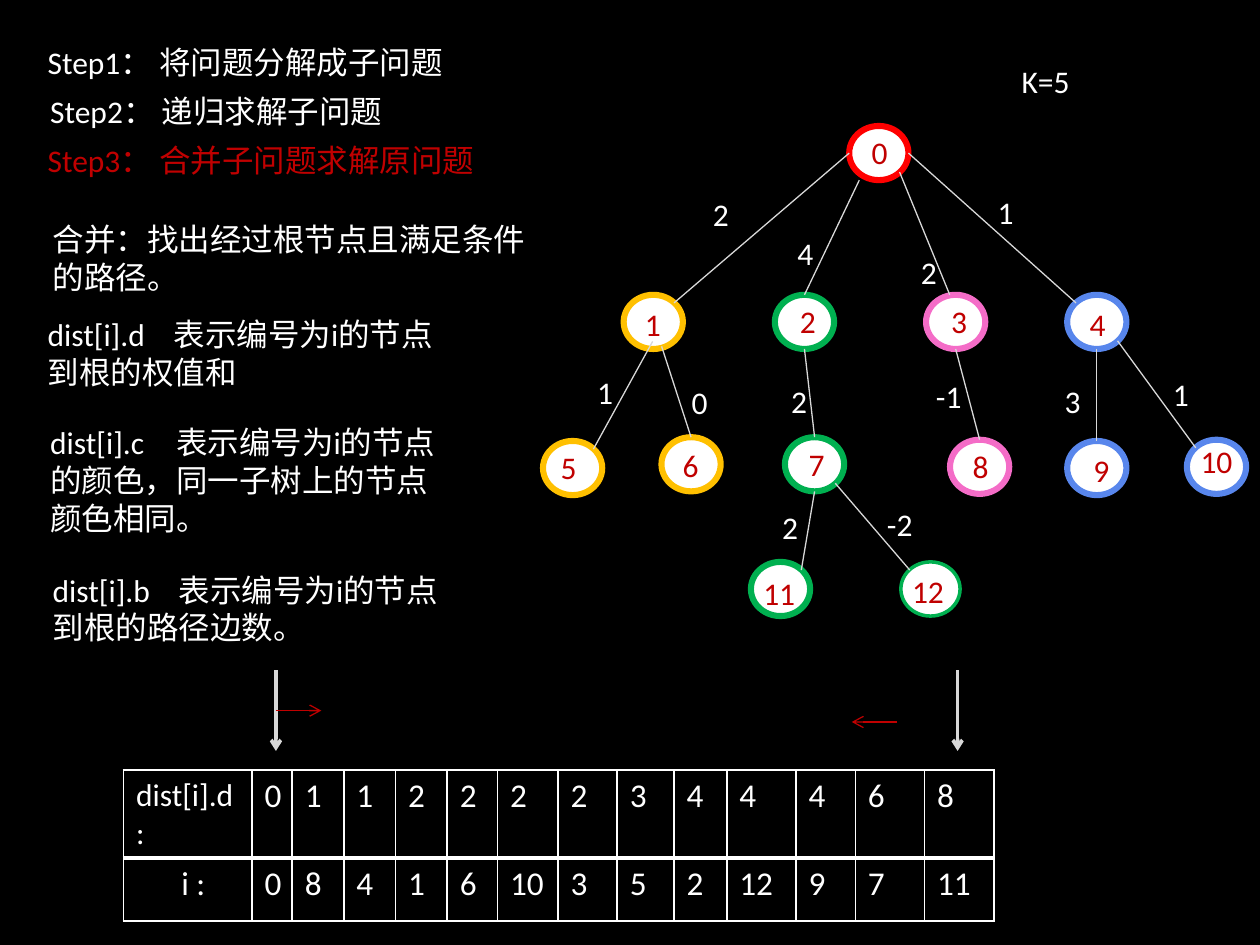
from lxml.etree import SubElement
from pptx import Presentation
from pptx.dml.color import RGBColor
from pptx.enum.shapes import MSO_CONNECTOR as CONNECTOR, MSO_SHAPE as SHAPE
from pptx.enum.text import MSO_AUTO_SIZE as AUTO_SIZE
from pptx.oxml.ns import qn
from pptx.util import Inches, Pt

WHITE, BLACK, CRIMSON, GREY = "FFFFFF", "000000", "C00000", "D8D8D8"
RED, GREEN, PINK, AMBER, BLUE = "FF0000", "00B050", "F46CC7", "FFC000", "5886EC"

PASSAGES = [
    ("Step1： 将问题分解成子问题", (0.28, 0.29, 4.72, 0.71), WHITE),
    ("Step2： 递归求解子问题", (0.3, 0.68, 4.72, 0.4), WHITE),
    ("Step3： 合并子问题求解原问题", (0.28, 1.07, 4.72, 0.71), CRIMSON),
    ("合并：找出经过根节点且满足条件的路径。", (0.32, 1.7, 3.99, 0.71), WHITE),
    ("dist[i].d\t表示编号为i的节点到根的权值和", (0.28, 2.45, 3.31, 0.71), WHITE),
    ("dist[i].c\t表示编号为i的节点的颜色，同一子树上的节点颜色相同。",
     (0.3, 3.31, 3.31, 1.01), WHITE),
    ("dist[i].b\t表示编号为i的节点到根的路径边数。", (0.32, 4.48, 3.31, 0.71), WHITE),
    ("K=5", (8.01, 0.44, 1.06, 0.4), WHITE),
]

# number: (left, top, ring colour, label left, label top, label width)
NODES = {
    0: (6.74, 1, RED, 6.82, 1.01, 0.32),
    1: (4.95, 2.34, AMBER, 5.02, 2.37, 0.32),
    2: (6.15, 2.34, GREEN, 6.25, 2.35, 0.32),
    3: (7.35, 2.34, PINK, 7.45, 2.35, 0.24),
    4: (8.47, 2.34, BLUE, 8.55, 2.37, 0.32),
    5: (4.31, 3.5, AMBER, 4.35, 3.51, 0.32),
    6: (5.25, 3.47, AMBER, 5.32, 3.49, 0.32),
    7: (6.23, 3.47, GREEN, 6.32, 3.48, 0.32),
    8: (7.54, 3.49, PINK, 7.62, 3.5, 0.32),
    9: (8.47, 3.5, BLUE, 8.58, 3.53, 0.32),
    10: (9.42, 3.49, BLUE, 9.43, 3.46, 0.54),
    11: (5.96, 4.46, GREEN, 5.96, 4.51, 0.56),
    12: (7.15, 4.46, GREEN, 7.14, 4.49, 0.47),
}
NODE_WIDTH, NODE_HEIGHT = 0.47, 0.43
THIN_RINGS = {12}

SITES = {
    "top": (0.5, 0), "bottom": (0.5, 1), "left": (0, 0.5), "right": (1, 0.5),
    "top left": (0.15, 0.15), "top right": (0.85, 0.15),
    "bottom left": (0.17, 1), "bottom right": (0.85, 0.85),
    "upper middle": (0.4, 0), "low centre": (0.49, 0.86), "low right": (0.64, 0.95),
}

# parent, site, child, site, weight, weight position
EDGES = [
    (0, "left", 1, "top right", "2", (5.56, 1.5)),
    (0, "bottom left", 2, "top", "4", (6.23, 1.81)),
    (0, "bottom right", 3, "upper middle", "2", (7.21, 1.96)),
    (0, "right", 4, "top left", "1", (7.82, 1.48)),
    (1, "low centre", 5, "top right", "1", (4.64, 2.91)),
    (1, "low right", 6, "top", "0", (5.39, 2.99)),
    (2, "bottom", 7, "top", "2", (6.18, 2.98)),
    (3, "bottom", 8, "top", "-1", (7.33, 2.94)),
    (4, "bottom", 9, "top", "3", (8.35, 2.98)),
    (4, "bottom right", 10, "top left", "1", (9.21, 2.93)),
    (7, "bottom", 11, "top right", "2", (6.11, 3.98)),
    (7, "bottom right", 12, "top left", "-2", (6.94, 3.96)),
]

POINTERS = [
    ((7.6, 5.32), (7.6, 5.96), GREY, 2),
    ((2.19, 5.32), (2.19, 5.96), GREY, 2),
    ((2.19, 5.64), (2.55, 5.64), CRIMSON, 0.75),
    ((7.12, 5.73), (6.76, 5.73), CRIMSON, 0.75),
]

DISTANCES = [
    ["dist[i].d:", 0, 1, 1, 2, 2, 2, 2, 3, 4, 4, 4, 6, 8],
    ["i :", 0, 8, 4, 1, 6, 10, 3, 5, 2, 12, 9, 7, 11],
]
COLUMN_WIDTHS = [1.02, 0.32, 0.41, 0.41, 0.41, 0.4, 0.48, 0.47, 0.45, 0.42,
                 0.55, 0.47, 0.55, 0.55]
ROW_HEIGHTS = [0.63, 0.5]


def rgb(value):
    return RGBColor.from_string(value)


def write(frame, text, size=18, color=WHITE):
    frame.word_wrap = True
    run = frame.paragraphs[0].add_run()
    run.text = text
    run.font.name = "Calibri"
    run.font.size = Pt(size)
    run.font.color.rgb = rgb(color)


def add_text(slide, text, box, **style):
    frame = slide.shapes.add_textbox(*map(Inches, box)).text_frame
    write(frame, text, **style)
    frame.auto_size = AUTO_SIZE.SHAPE_TO_FIT_TEXT


def add_line(slide, start, end, color=GREY, width=0.75, arrow=False):
    connector = slide.shapes.add_connector(
        CONNECTOR.STRAIGHT, *map(Inches, (*start, *end)))
    connector.line.color.rgb = rgb(color)
    connector.line.width = Pt(width)
    if arrow:
        SubElement(connector.line._get_or_add_ln(), qn("a:tailEnd"), type="arrow")
    SubElement(connector._element.spPr, qn("a:effectLst"))


def add_node(slide, number):
    left, top, ring, *_ = NODES[number]
    node = slide.shapes.add_shape(
        SHAPE.OVAL, *map(Inches, (left, top, NODE_WIDTH, NODE_HEIGHT)))
    node.shadow.inherit = False
    node.fill.solid()
    node.fill.fore_color.rgb = rgb(WHITE)
    node.line.color.rgb = rgb(ring)
    node.line.width = Pt(2 if number in THIN_RINGS else 3.5)


def site_point(number, site):
    left, top, *_ = NODES[number]
    across, down = SITES[site]
    return left + across * NODE_WIDTH, top + down * NODE_HEIGHT


def add_borders(cell, widths):
    properties = cell._tc.get_or_add_tcPr()
    for side, width in zip(("lnL", "lnR", "lnT", "lnB"), widths):
        border = SubElement(properties, qn(f"a:{side}"), w=str(Pt(width)))
        SubElement(SubElement(border, qn("a:solidFill")), qn("a:srgbClr"), val=WHITE)


def add_distances(slide):
    box = (0.98, 6.11, sum(COLUMN_WIDTHS), sum(ROW_HEIGHTS))
    table = slide.shapes.add_table(
        len(DISTANCES), len(COLUMN_WIDTHS), *map(Inches, box)).table
    table.first_row = table.horz_banding = False
    for column, width in zip(table.columns, COLUMN_WIDTHS):
        column.width = Inches(width)
    for r, (values, height) in enumerate(zip(DISTANCES, ROW_HEIGHTS)):
        table.rows[r].height = Inches(height)
        for c, value in enumerate(values):
            cell = table.cell(r, c)
            add_borders(cell, (1, 1, 3 if r else 1, 1 if r else 3))
            cell.fill.background()
            write(cell.text_frame, str(value), size=19 if r or c else 18)
    table.cell(1, 0).margin_left = Inches(0.46)


def main():
    deck = Presentation()
    deck.slide_width, deck.slide_height = Inches(10), Inches(7.5)
    slide = deck.slides.add_slide(deck.slide_layouts[6])
    slide.background.fill.solid()
    slide.background.fill.fore_color.rgb = rgb(BLACK)

    for text, box, color in PASSAGES:
        add_text(slide, text, box, color=color)
    for number in NODES:
        add_node(slide, number)
    for parent, start, child, end, weight, position in EDGES:
        add_line(slide, site_point(parent, start), site_point(child, end))
        add_text(slide, weight, (*position, 0.55, 0.4))
    for number, (*_, left, top, width) in NODES.items():
        add_text(slide, str(number), (left, top, width, 0.4), color=CRIMSON)
    add_distances(slide)
    for start, end, color, width in POINTERS:
        add_line(slide, start, end, color, width, arrow=True)
    deck.save("out.pptx")


if __name__ == "__main__":
    main()
